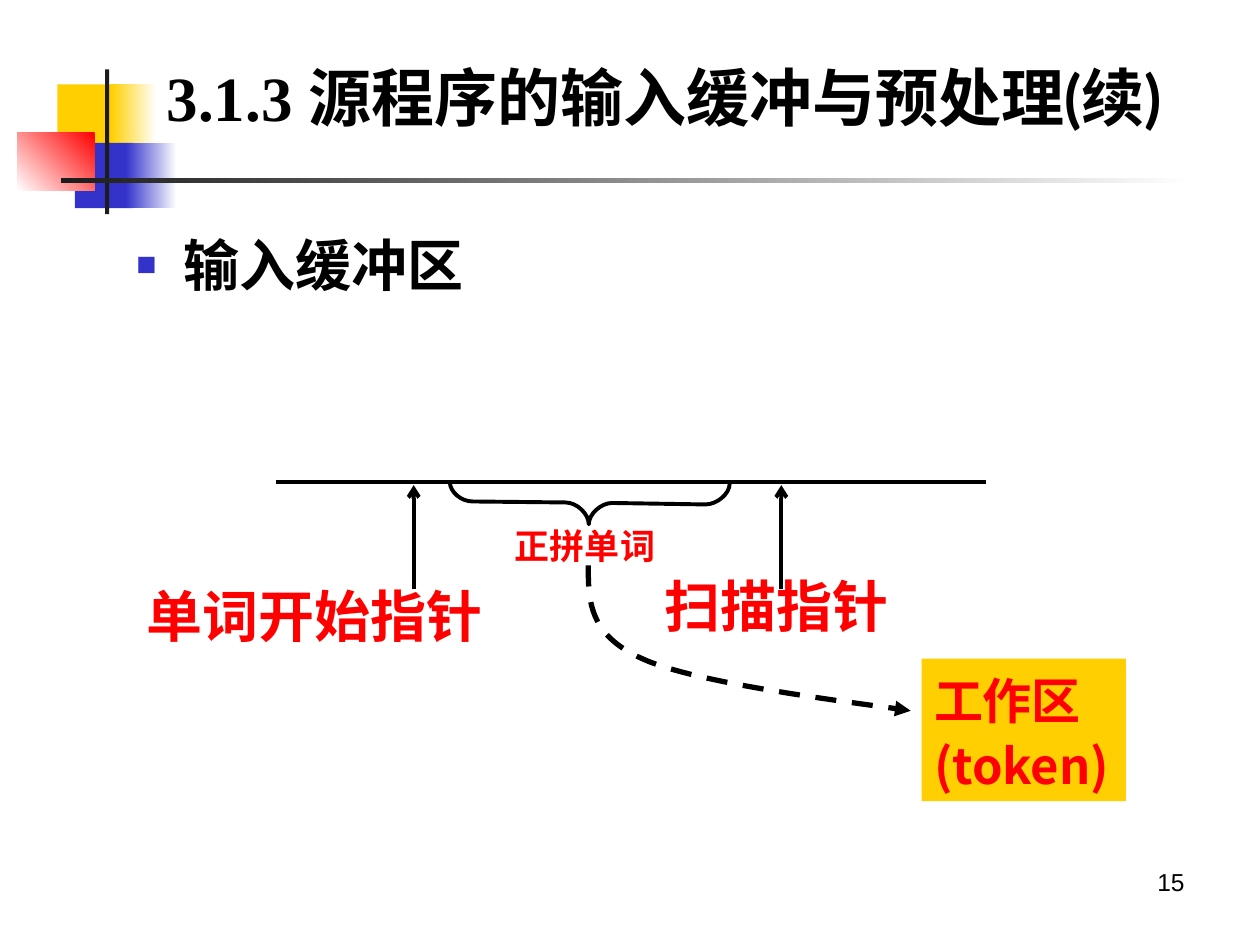
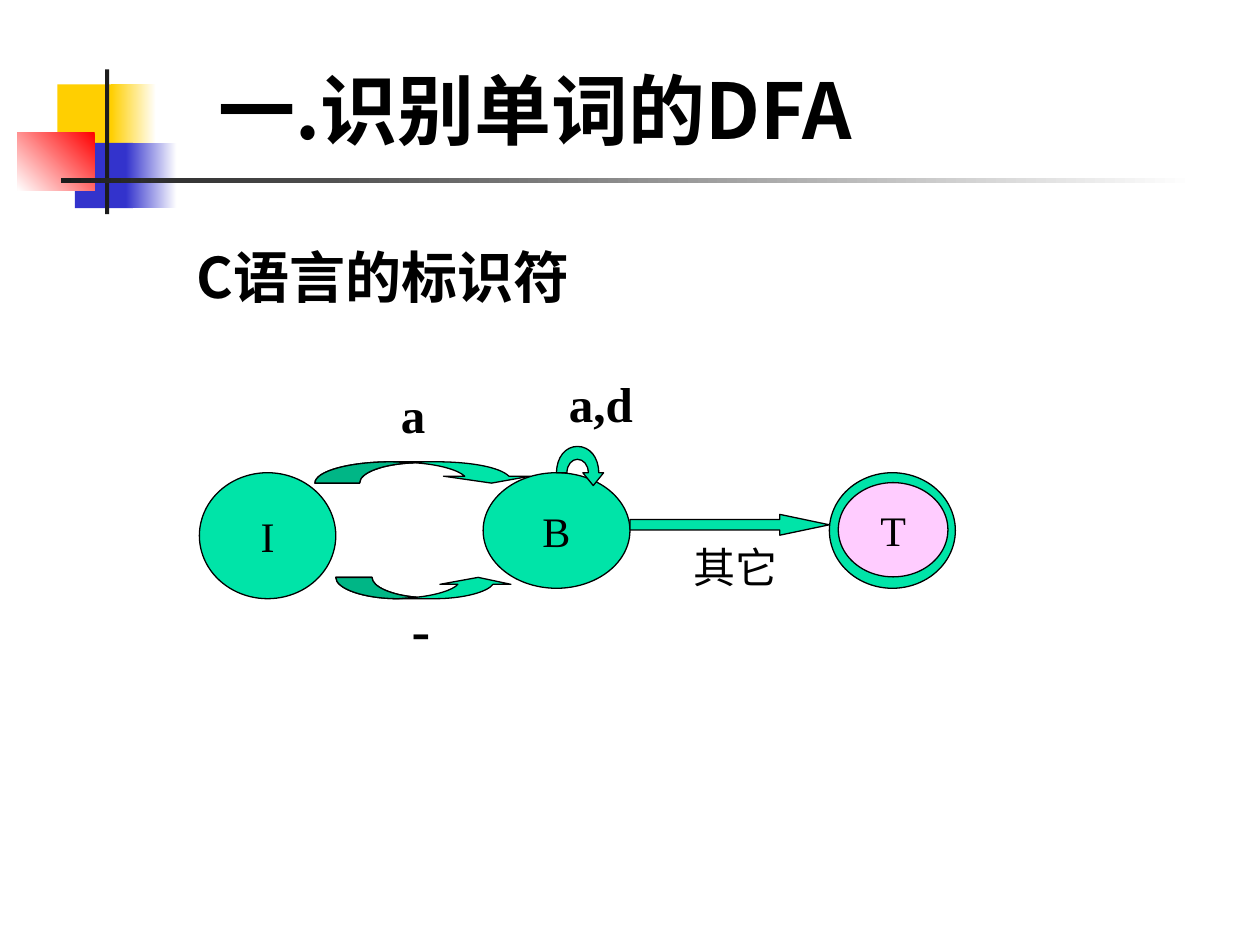
"""Build two lecture slides on input buffering and an identifier automaton."""
from dataclasses import dataclass

from lxml.etree import SubElement
from pptx import Presentation
from pptx.dml.color import RGBColor
from pptx.enum.dml import MSO_LINE
from pptx.enum.shapes import MSO_CONNECTOR, MSO_SHAPE
from pptx.enum.text import MSO_ANCHOR, PP_ALIGN
from pptx.oxml.ns import qn
from pptx.util import Cm, Pt


@dataclass(frozen=True)
class Theme:
    """Colours, fonts and type sizes of the presentation."""

    black: str = "000000"
    white: str = "FFFFFF"
    charcoal: str = "1C1C1C"
    gold: str = "FFCF01"
    blue: str = "3333CC"
    red: str = "FF0000"
    green: str = "00E4A8"
    pink: str = "FFCCFF"
    serif: str = "Times New Roman"
    sans: str = "Lato"
    plain: str = "Arial"
    chinese: str = "Noto Sans CJK SC"
    light_chinese: str = "Noto Sans CJK JP"
    heading: int = 44
    title: int = 36
    body: int = 32
    label: int = 28
    state: int = 24
    note: int = 20
    number: int = 14


THEME = Theme()


def write(paragraph, text, size=THEME.body, font=THEME.serif, east_asian=THEME.chinese,
          color=THEME.black, bold=True, align=None, spacing=None):
    """Append a formatted run to a paragraph."""
    if align is not None:
        paragraph.alignment = align
    if spacing is not None:
        paragraph.line_spacing = spacing
    run = paragraph.add_run()
    run.text = text
    run.font.size = Pt(size)
    run.font.name = font
    run.font.bold = bold
    run.font.color.rgb = RGBColor.from_string(color)
    latin = run.font._element.find(qn("a:latin"))
    latin.addnext(latin.makeelement(qn("a:ea"), {"typeface": east_asian}))


def corners(segment):
    """Give the points of a line or Bezier segment in slide units."""
    return [(Cm(x), Cm(y)) for x, y in zip(segment[::2], segment[1::2])]


def bend(path, segments):
    """Merge the three lines of each Bezier segment into one curve."""
    lines = iter(path.findall(qn("a:lnTo")))
    for segment in segments:
        parts = [next(lines) for _ in corners(segment)]
        if len(parts) == 3:
            curve = path.makeelement(qn("a:cubicBezTo"), {})
            parts[0].addprevious(curve)
            for part in parts:
                curve.append(part[0])
                path.remove(part)


def shade_second_contour(path):
    """Move the second contour of a path into a darker path of its own."""
    second_start = path.findall(qn("a:moveTo"))[1]
    shaded = path.makeelement(qn("a:path"), {**path.attrib, "fill": "darkenLess"})
    path.addnext(shaded)
    for step in [second_start, *second_start.itersiblings()]:
        shaded.append(step)


class Deck:
    """Hold the theme and the current slide and draw elements on it."""

    def __init__(self, theme):
        """Start an empty presentation."""
        self.theme = theme
        self.presentation = Presentation()
        self.presentation.slide_width = Cm(25.4)
        self.presentation.slide_height = Cm(19.05)
        self.slide = None

    def new_slide(self):
        """Add a slide with the shared coloured blocks and rules."""
        theme = self.theme
        self.slide = self.presentation.slides.add_slide(self.presentation.slide_layouts[6])
        rectangle = MSO_SHAPE.RECTANGLE
        self.shape(rectangle, 1.16, 1.7, 1.22, 1.32, theme.gold)
        self.fade(2.24, 1.7, 0.91, 1.32, theme.gold)
        self.shape(rectangle, 1.51, 2.88, 1.17, 1.32, theme.blue)
        self.fade(2.54, 2.88, 1.02, 1.32, theme.blue)
        self.fade(0.35, 2.67, 1.56, 1.17, theme.red, angle=225)
        self.shape(rectangle, 2.12, 1.4, 0.08, 2.92, theme.charcoal)
        self.fade(1.23, 3.59, 22.86, 0.1, theme.charcoal)

    def paint(self, shape, fill=None, line=None, width=0.75):
        """Set fill and line of a shape and drop its shadow."""
        shape.shadow.inherit = False
        if fill:
            shape.fill.solid()
            shape.fill.fore_color.rgb = RGBColor.from_string(fill)
        else:
            shape.fill.background()
        if line:
            shape.line.color.rgb = RGBColor.from_string(line)
            shape.line.width = Pt(width)
        else:
            shape.line.fill.background()
        return shape

    def shape(self, kind, left, top, width, height, fill, line=None):
        """Draw a preset shape."""
        shape = self.slide.shapes.add_shape(kind, Cm(left), Cm(top), Cm(width), Cm(height))
        return self.paint(shape, fill, line)

    def fade(self, left, top, width, height, color, angle=0):
        """Draw a rectangle that fades from a colour to white."""
        shape = self.shape(MSO_SHAPE.RECTANGLE, left, top, width, height, color)
        shape.fill.gradient()
        shape.fill.gradient_angle = angle
        for stop, tone in zip(shape.fill.gradient_stops, (color, self.theme.white)):
            stop.color.rgb = RGBColor.from_string(tone)

    def text(self, left, top, width, height, text, anchor=MSO_ANCHOR.TOP, fill=None, **style):
        """Place a wrapped text box and return its paragraph."""
        box = self.slide.shapes.add_textbox(Cm(left), Cm(top), Cm(width), Cm(height))
        if fill:
            box.fill.solid()
            box.fill.fore_color.rgb = RGBColor.from_string(fill)
        box.text_frame.word_wrap = True
        box.text_frame.vertical_anchor = anchor
        paragraph = box.text_frame.paragraphs[0]
        write(paragraph, text, **style)
        return paragraph

    def bullet(self, left, top, width, height, text, **style):
        """Place a text box with a square bullet."""
        paragraph = self.text(left, top, width, height, text, **style)
        properties = paragraph._p.get_or_add_pPr()
        properties.set("marL", str(Cm(0.95)))
        properties.set("indent", str(-Cm(0.95)))
        color = SubElement(properties, qn("a:buClr"))
        SubElement(color, qn("a:srgbClr"), val=self.theme.blue)
        SubElement(properties, qn("a:buSzPct"), val="60000")
        SubElement(properties, qn("a:buFont"), typeface=self.theme.plain)
        SubElement(properties, qn("a:buChar"), char="■")

    def state(self, left, top, width, height, name="", fill=THEME.green):
        """Draw an automaton state with its name."""
        shape = self.shape(MSO_SHAPE.OVAL, left, top, width, height, fill, self.theme.black)
        frame = shape.text_frame
        frame.word_wrap = False
        frame.vertical_anchor = MSO_ANCHOR.MIDDLE
        if name:
            write(frame.paragraphs[0], name, size=self.theme.state, bold=False, align=PP_ALIGN.CENTER)

    def head(self, shape, kind):
        """Put an arrowhead at the end of a line."""
        SubElement(shape.element.spPr.find(qn("a:ln")), qn("a:tailEnd"), type=kind)

    def line(self, start, end, arrow=None):
        """Draw a straight line, with an arrowhead if one is named."""
        line = self.slide.shapes.add_connector(
            MSO_CONNECTOR.STRAIGHT, *(Cm(value) for value in start + end))
        line.line.color.rgb = RGBColor.from_string(self.theme.black)
        line.line.width = Pt(2.25)
        if arrow:
            self.head(line, arrow)
        SubElement(line.element.spPr, qn("a:effectLst"))

    def outline(self, *contours, fill=None, width=0.75):
        """Draw a freeform of lines and curves, closed when it has a fill."""
        builder = self.slide.shapes.build_freeform(*corners(contours[0][0])[0])
        for number, contour in enumerate(contours):
            if number:
                builder.move_to(*corners(contour[0])[0])
            points = [point for segment in contour[1:] for point in corners(segment)]
            builder.add_line_segments(points, close=bool(fill))
        shape = builder.convert_to_shape()
        path = next(shape.element.iter(qn("a:path")))
        bend(path, [segment for contour in contours for segment in contour[1:]])
        if len(contours) > 1:
            shade_second_contour(path)
        return self.paint(shape, fill, self.theme.black, width)

    def ribbon(self, contour):
        """Draw a curved arrow whose tail is shaded darker."""
        tail = contour[:2] + [contour[-2][-2:], contour[-1]]
        self.outline(contour, tail, fill=self.theme.green)


def build_buffer_slide(deck):
    """Show the input buffer with its two pointers and the work area."""
    theme = deck.theme
    deck.new_slide()
    deck.text(18.21, 17.35, 5.92, 1.32, "15", size=theme.number, font=theme.plain,
              bold=False, align=PP_ALIGN.RIGHT)
    title = deck.text(3.11, 0.73, 22, 2.44, "3.1.3 ", size=theme.title, anchor=MSO_ANCHOR.MIDDLE)
    write(title, "源程序的输入缓冲与预处理(续)", size=theme.title, font=theme.sans)

    buffer_y = 9.72
    deck.line((5.57, buffer_y), (19.88, buffer_y))
    deck.text(18.58, 13.28, 4.12, 2.87, "工作区(token)", fill=theme.gold, size=theme.label,
              font=theme.chinese, color=theme.red, spacing=1.1)
    flow = deck.outline([(11.86, 11.4), (11.86, 12.09, 11.86, 12.8, 12.95, 13.28),
                         (14.02, 13.77, 17.5, 14.2, 18.36, 14.33)], width=3)
    flow.line.dash_style = MSO_LINE.DASH
    deck.head(flow, "triangle")
    for pointer_x in (8.34, 15.75):
        deck.line((pointer_x, 11.88), (pointer_x, 9.78), arrow="arrow")
    deck.outline([(9.07, 9.72), (9.07, 9.92, 9.3, 10.11, 9.53, 10.11), (11.4, 10.13),
                  (11.63, 10.13, 11.87, 10.36, 11.87, 10.57),
                  (11.87, 10.36, 12.12, 10.14, 12.34, 10.14), (14.22, 10.17),
                  (14.45, 10.17, 14.71, 9.96, 14.71, 9.75)], width=2.25)

    labels = (("单词开始指针", 2.7, 11.46, 7.49, 1.75, theme.body),
              ("扫描指针", 13.15, 11.26, 5.05, 1.75, theme.body),
              ("正拼单词", 10.13, 10.36, 3.84, 1.19, theme.note))
    for text, left, top, width, height, size in labels:
        deck.text(left, top, width, height, text, size=size, color=theme.red, spacing=1.1)
    deck.bullet(2.5, 4.52, 22.38, 4.06, "输入缓冲区", font=theme.sans)


def build_automaton_slide(deck):
    """Show the automaton that recognises identifiers."""
    theme = deck.theme
    deck.new_slide()
    deck.state(4.02, 9.53, 2.75, 2.54, "I")
    deck.state(9.74, 9.53, 2.96, 2.33, "B")
    deck.state(16.72, 9.53, 2.54, 2.33)
    deck.state(16.9, 9.73, 2.21, 1.9, "T", theme.pink)

    deck.ribbon([(6.35, 9.74), (6.35, 9.5, 7.04, 9.31, 7.9, 9.31), (8.79, 9.31),
                 (9.5, 9.31, 10.08, 9.42, 10.26, 9.6), (10.69, 9.6), (9.91, 9.74),
                 (8.94, 9.6), (9.37, 9.6), (9.23, 9.47, 8.83, 9.36, 8.36, 9.33),
                 (7.75, 9.35, 7.25, 9.52, 7.25, 9.74)])
    deck.ribbon([(6.77, 11.64), (6.77, 11.87, 7.34, 12.07, 8.03, 12.07), (8.76, 12.07),
                 (9.33, 12.07, 9.82, 11.94, 9.94, 11.78), (10.3, 11.78), (9.64, 11.64),
                 (8.87, 11.78), (9.23, 11.78), (9.14, 11.89, 8.8, 12, 8.4, 12.04),
                 (7.9, 12, 7.5, 11.83, 7.5, 11.64)])
    arrow = deck.shape(MSO_SHAPE.RIGHT_ARROW, 12.7, 10.37, 4.02, 0.42, theme.green, theme.black)
    arrow.adjustments[0] = 0.5
    arrow.adjustments[1] = 2.38
    deck.outline([(11.86, 9.53), (11.86, 9.37, 11.76, 9.26, 11.64, 9.26),
                  (11.53, 9.26, 11.43, 9.37, 11.43, 9.53), (11.22, 9.53),
                  (11.22, 9.22, 11.4, 9, 11.64, 9),
                  (11.89, 9, 12.07, 9.22, 12.07, 9.53),
                  (12.17, 9.53), (11.96, 9.79), (11.75, 9.53)], fill=theme.green)

    deck.text(7.83, 7.62, 1.27, 1.45, "a", size=theme.label)
    deck.text(8.05, 11.86, 1.07, 1.63, "-")
    deck.text(11.22, 7.41, 2.11, 1.45, "a,d", size=theme.label)
    deck.text(13.73, 10.8, 2.4, 1.27, "其它", size=theme.state, font=theme.light_chinese,
              east_asian=theme.light_chinese, bold=False)
    deck.text(4.15, 1.13, 14.45, 2.13, "一.识别单词的DFA", size=theme.heading, font=theme.chinese)
    deck.text(3.72, 4.77, 8.2, 1.63, "C语言的标识符", font=theme.chinese)


def main():
    """Build both slides and save the presentation."""
    deck = Deck(THEME)
    build_buffer_slide(deck)
    build_automaton_slide(deck)
    deck.presentation.save("out.pptx")


if __name__ == "__main__":
    main()
